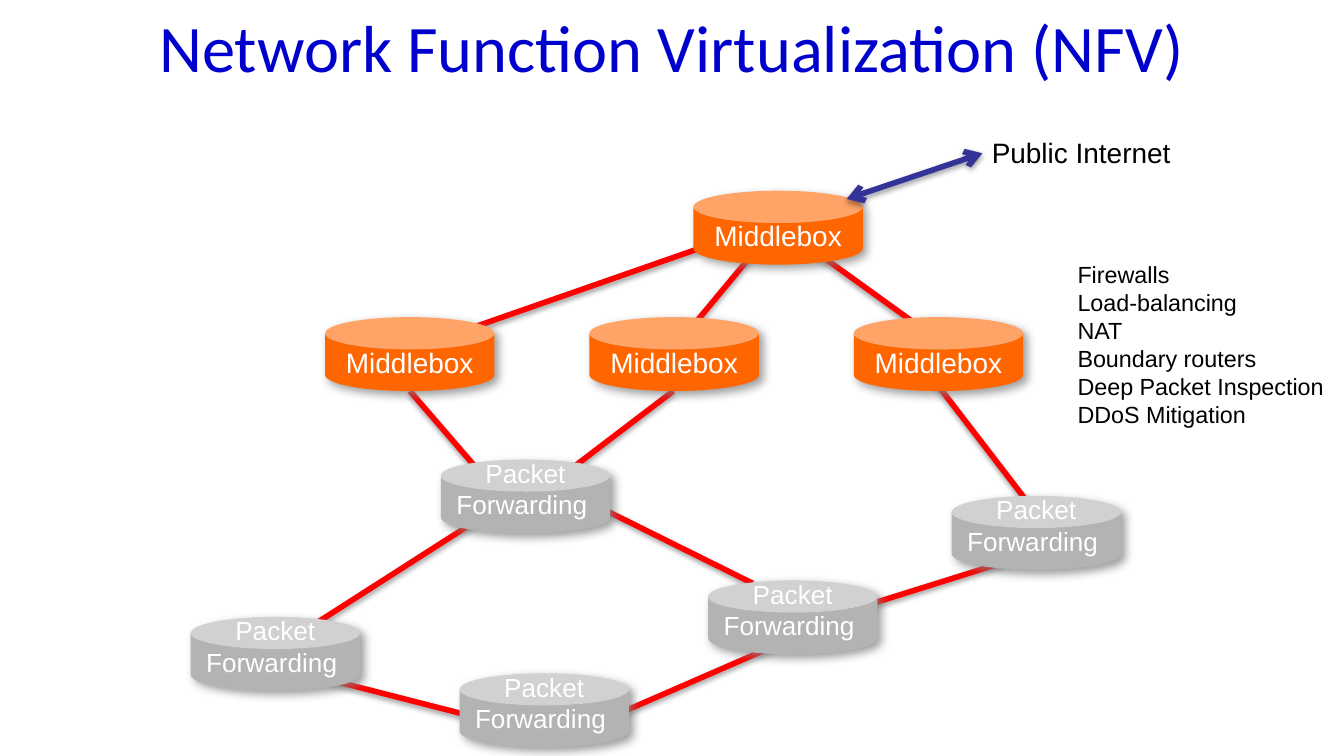
from dataclasses import dataclass

from lxml.etree import SubElement
from pptx import Presentation
from pptx.dml.color import RGBColor
from pptx.enum.shapes import MSO_CONNECTOR, MSO_SHAPE
from pptx.enum.text import MSO_ANCHOR, PP_ALIGN
from pptx.oxml.ns import qn
from pptx.util import Pt


@dataclass(frozen=True)
class Theme:
    title_color: str = "0000CC"
    text_color: str = "000000"
    node_text: str = "FFFFFF"
    middlebox: str = "FF6600"
    forwarder: str = "B3B3B3"
    link: str = "FF0000"
    uplink: str = "333399"
    title_font: str = "Calibri"
    body_font: str = "Arial"
    title_size: float = 35.6
    label_size: float = 15
    forwarder_size: float = 14
    list_size: float = 12.5
    line_width: float = 3
    # Shadows: colour, opacity %, blur, distance, angle
    link_shadow: tuple = ("000000", 38, 3.1, 1.6, 90)
    node_shadow: tuple = ("808080", 75, 5, 3, 45)


THEME = Theme()
NODE_WIDTH, NODE_HEIGHT = 90.7, 39.6

# Node positions (left, top)
MIDDLEBOXES = [(174.2 + 141.6 * column, 169.9) for column in range(3)]
MIDDLEBOXES.append((371.5, 102.2))
FORWARDERS = [(102.2, 330.5), (246.2, 360.7), (379.4, 311), (236.2, 246.2), (509.8, 265.7)]

# Link ends (x, y)
LINKS = [
    # Between forwarders
    ((147.6, 347.8), (281.5, 262.1)),
    ((316.1, 269.3), (403.2, 312.5)),
    ((323.3, 385.9), (424.1, 342)),
    ((137.5, 354.2), (261.4, 385.9)),
    ((453.6, 327.6), (547.9, 298.1)),
    # Forwarders to middleboxes
    ((265, 262.1), (219.6, 209.5)),
    ((303.1, 253.4), (360.7, 209.5)),
    ((555.1, 275), (498.2, 200.9)),
    # Top middlebox to the row below
    ((391, 127.4), (219.6, 187.2)),
    ((410.4, 127.4), (360.7, 187.2)),
    ((435.6, 133.9), (502.6, 182.2)),
]
FUNCTIONS = [
    "Firewalls", "Load-balancing", "NAT", "Boundary routers",
    "Deep Packet Inspection", "DDoS Mitigation",
]


def write_text(shape, lines, *, size, color, font=THEME.body_font,
               align=PP_ALIGN.LEFT, anchor=MSO_ANCHOR.TOP, wrap=False, bottom=3.6):
    frame = shape.text_frame
    frame.word_wrap = wrap
    frame.vertical_anchor = anchor
    frame.margin_bottom = Pt(bottom)
    for index, line in enumerate(lines):
        paragraph = frame.add_paragraph() if index else frame.paragraphs[0]
        paragraph.alignment = align
        run = paragraph.add_run()
        run.text = line
        run.font.name = font
        run.font.size = Pt(size)
        run.font.color.rgb = RGBColor.from_string(color)


def add_label(slide, box, lines, **text_format):
    shape = slide.shapes.add_textbox(*map(Pt, box))
    write_text(shape, lines, **text_format)


def add_shadow(shape, color, opacity, blur, distance, angle):
    effects = SubElement(shape._element.spPr, qn("a:effectLst"))
    shadow = SubElement(effects, qn("a:outerShdw"), blurRad=str(Pt(blur)),
                        dist=str(Pt(distance)), dir=str(angle * 60000),
                        algn="ctr", rotWithShape="0")
    shade = SubElement(shadow, qn("a:srgbClr"), val=color)
    SubElement(shade, qn("a:alpha"), val=str(opacity * 1000))


def add_link(slide, start, end, color=THEME.link, arrows=False):
    connector = slide.shapes.add_connector(
        MSO_CONNECTOR.STRAIGHT, *map(Pt, start + end))
    connector.line.width = Pt(THEME.line_width)
    connector.line.color.rgb = RGBColor.from_string(color)
    if arrows:
        outline = connector.line._get_or_add_ln()
        for tag in ("a:headEnd", "a:tailEnd"):
            SubElement(outline, qn(tag), type="arrow")
    add_shadow(connector, *THEME.link_shadow)


def add_node(slide, position, color, lines, **text_format):
    shape = slide.shapes.add_shape(
        MSO_SHAPE.CAN, *map(Pt, position + (NODE_WIDTH, NODE_HEIGHT)))
    shape.adjustments[0] = 0.436
    shape.fill.solid()
    shape.fill.fore_color.rgb = RGBColor.from_string(color)
    shape.line.fill.background()
    add_shadow(shape, *THEME.node_shadow)
    write_text(shape, lines, color=THEME.node_text, align=PP_ALIGN.CENTER, **text_format)


def main():
    presentation = Presentation()
    presentation.slide_width, presentation.slide_height = Pt(720), Pt(405)
    slide = presentation.slides.add_slide(presentation.slide_layouts[6])

    # Title
    add_label(slide, (36, -9.4, 648, 67.7), ["Network Function Virtualization (NFV)"],
              size=THEME.title_size, color=THEME.title_color, font=THEME.title_font,
              align=PP_ALIGN.CENTER, anchor=MSO_ANCHOR.MIDDLE, wrap=True)

    # Network: links lie behind the nodes
    for start, end in LINKS:
        add_link(slide, start, end)
    for position in FORWARDERS:
        # The two lines rise from the foot of the can onto its lid
        add_node(slide, position, THEME.forwarder, ["Packet", "Forwarding "],
                 size=THEME.forwarder_size, anchor=MSO_ANCHOR.BOTTOM, bottom=-1.4)
    for position in MIDDLEBOXES:
        add_node(slide, position, THEME.middlebox, ["Middlebox"],
                 size=THEME.label_size, anchor=MSO_ANCHOR.MIDDLE)

    # Connection to the outside
    add_link(slide, (453.6, 106.6), (526.3, 82.1), THEME.uplink, arrows=True)
    add_label(slide, (524.2, 69.1, 111.6, 43.9), ["Public Internet"],
              size=THEME.label_size, color=THEME.text_color)

    # Middlebox functions
    add_label(slide, (570.2, 136.1, 148.3, 97.9), FUNCTIONS,
              size=THEME.list_size, color=THEME.text_color)

    presentation.save("out.pptx")


if __name__ == "__main__":
    main()
